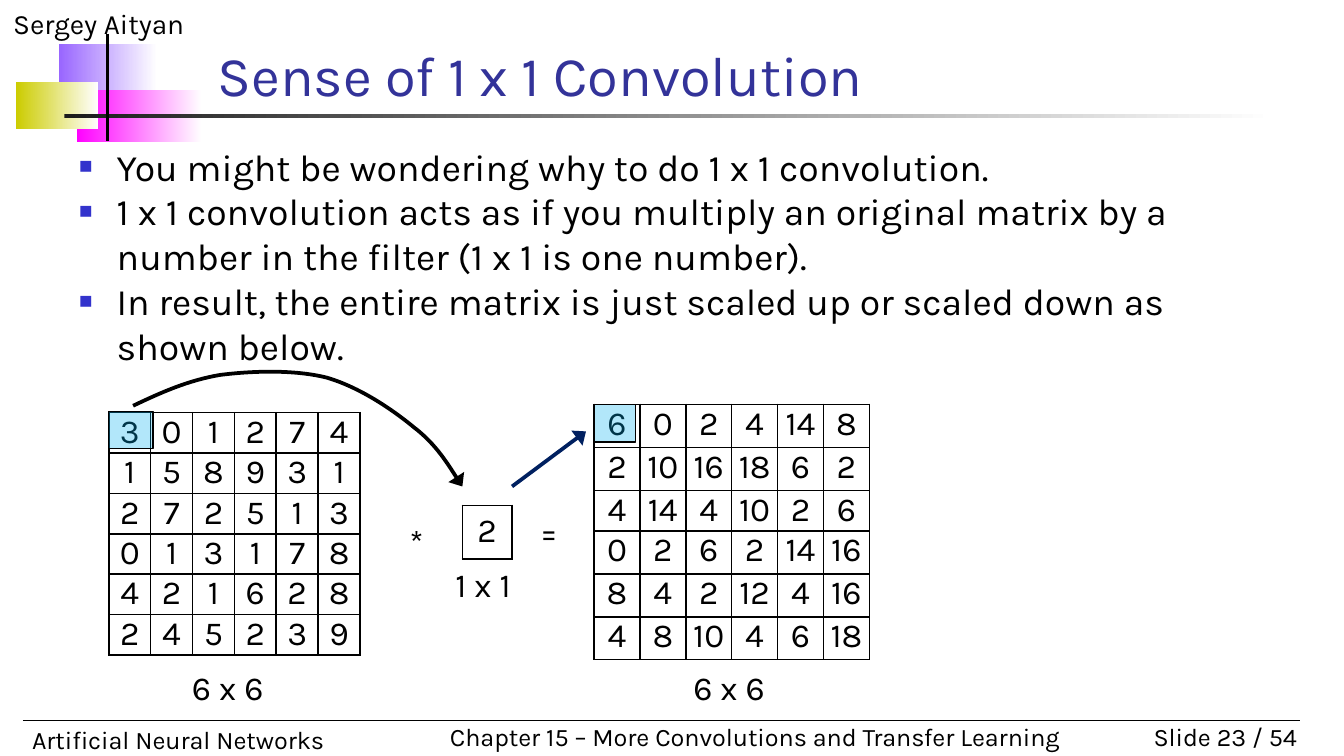
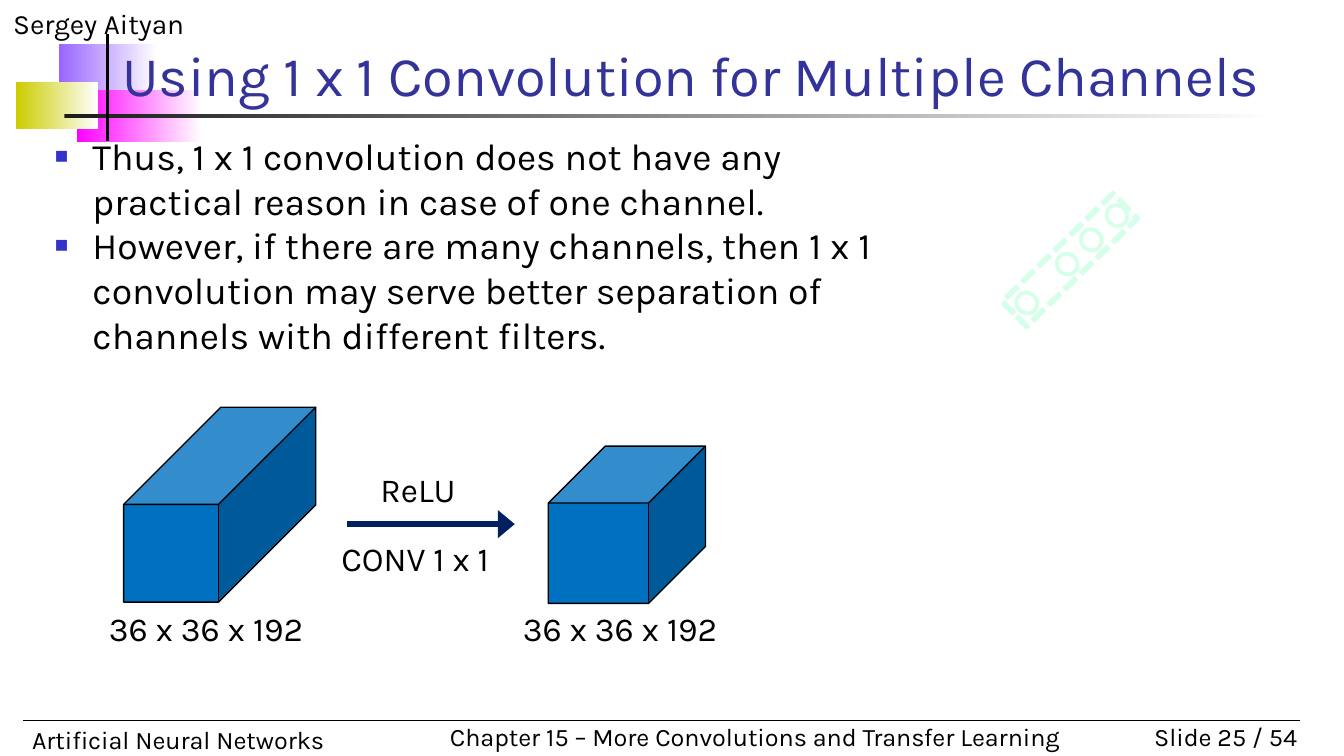
from dataclasses import dataclass
from lxml.etree import SubElement
from pptx import Presentation
from pptx.dml.color import RGBColor
from pptx.enum.dml import MSO_LINE
from pptx.enum.shapes import MSO_CONNECTOR, MSO_SHAPE
from pptx.enum.text import MSO_ANCHOR, MSO_AUTO_SIZE, PP_ALIGN
from pptx.oxml.ns import qn
from pptx.util import Inches, Pt


@dataclass(frozen=True)
class Theme:
    font: str = "Karla"
    ink: str = "000000"
    title: str = "333399"
    bullet: str = "3333CC"
    highlight: str = "00B0F0"
    arrow: str = "002060"
    cube: str = "0070C0"
    sketch: str = "D5FFE8"
    violet: str = "9966FF"
    magenta: str = "FF00FF"
    olive: str = "CCCC00"
    rule: str = "1C1C1C"
    white: str = "FFFFFF"
    title_size: float = 30
    body_size: float = 20
    label_size: float = 18
    author_size: float = 15
    footer_size: float = 13.5


THEME = Theme()
SLIDE_WIDTH = 10
SLIDE_HEIGHT = SLIDE_WIDTH * 9 / 16
INPUT_MATRIX = [
    [3, 0, 1, 2, 7, 4],
    [1, 5, 8, 9, 3, 1],
    [2, 7, 2, 5, 1, 3],
    [0, 1, 3, 1, 7, 8],
    [4, 2, 1, 6, 2, 8],
    [2, 4, 5, 2, 3, 9],
]
KERNEL = 2
SCALED_MATRIX = [[value * KERNEL for value in row] for row in INPUT_MATRIX]


def color(code):
    return RGBColor.from_string(code)


def inches(*lengths):
    return [Inches(length) for length in lengths]


def style_paragraph(paragraph, size, code=THEME.ink, align=None):
    if align is not None:
        paragraph.alignment = align
    for run in paragraph.runs:
        run.font.name = THEME.font
        run.font.size = Pt(size)
        run.font.color.rgb = color(code)


def add_text(shapes, box, text, size=THEME.label_size, code=THEME.ink, align=None,
             wrap=True, grow=True, inset=True):
    shape = shapes.add_textbox(*inches(*box))
    frame = shape.text_frame
    frame.text = text
    frame.word_wrap = wrap
    frame.auto_size = MSO_AUTO_SIZE.SHAPE_TO_FIT_TEXT if grow else MSO_AUTO_SIZE.NONE
    if not inset:
        frame.margin_left = frame.margin_top = frame.margin_right = frame.margin_bottom = 0
    for paragraph in frame.paragraphs:
        style_paragraph(paragraph, size, code, align)
    return shape


def add_outline(shapes, kind, box, line=THEME.ink, width=0.75):
    shape = shapes.add_shape(kind, *inches(*box))
    shape.shadow.inherit = False
    shape.fill.background()
    shape.line.color.rgb = color(line)
    shape.line.width = Pt(width)
    return shape


def add_gradient(shapes, box, code):
    shape = shapes.add_shape(MSO_SHAPE.RECTANGLE, *inches(*box))
    shape.shadow.inherit = False
    shape.line.fill.background()
    shape.fill.gradient()
    shape.fill.gradient_angle = 0
    for stop, stop_code in zip(shape.fill.gradient_stops, (code, THEME.white)):
        stop.color.rgb = color(stop_code)


def add_arrowhead(shape):
    SubElement(shape.get_or_add_ln(), qn("a:tailEnd"), type="triangle", w="lg", len="med")


def add_line(shapes, ends, code=THEME.ink, width=2.0, arrow=False):
    connector = shapes.add_connector(MSO_CONNECTOR.STRAIGHT, *inches(*ends))
    connector.line.color.rgb = color(code)
    connector.line.width = Pt(width)
    if arrow:
        add_arrowhead(connector)
    SubElement(connector.element.spPr, qn("a:effectLst"))


def add_curve(shapes, points):
    start, *rest = [inches(*point) for point in points]
    builder = shapes.build_freeform(*start)
    builder.add_line_segments(rest, close=False)
    curve = builder.convert_to_shape()
    curve.shadow.inherit = False
    curve.fill.background()
    curve.line.color.rgb = color(THEME.ink)
    curve.line.width = Pt(2)
    add_arrowhead(curve)
    segments = list(curve.element.iter(qn("a:lnTo")))
    outline = segments[0].getparent()
    for first in range(0, len(segments), 3):
        bezier = SubElement(outline, qn("a:cubicBezTo"))
        for segment in segments[first:first + 3]:
            bezier.append(segment[0])
            outline.remove(segment)


def draw_cell_border(cell):
    properties = cell._tc.get_or_add_tcPr()
    for side in ("a:lnL", "a:lnR", "a:lnT", "a:lnB"):
        border = SubElement(properties, qn(side), w=str(Pt(1)))
        fill = SubElement(border, qn("a:solidFill"))
        SubElement(fill, qn("a:srgbClr"), val=THEME.ink)


def draw_matrix(shapes, box, values, row_heights, margin=0):
    size = len(values)
    frame = shapes.add_table(size, size, *inches(*box))
    table = frame.table
    table.first_row = table.horz_banding = False
    for column in table.columns:
        column.width = Inches(box[2] / size)
    for row, height, numbers in zip(table.rows, row_heights, values):
        row.height = Inches(height)
        for cell, number in zip(row.cells, numbers):
            cell.margin_left = cell.margin_right = 0
            cell.margin_top = cell.margin_bottom = Inches(margin)
            draw_cell_border(cell)
            cell.fill.background()
            cell.text = str(number)
            style_paragraph(cell.text_frame.paragraphs[0], THEME.label_size,
                            align=PP_ALIGN.CENTER)
    frame.height = Inches(box[3])


def draw_highlight(shapes, box):
    shape = add_outline(shapes, MSO_SHAPE.RECTANGLE, box)
    shape.fill.solid()
    shape.fill.fore_color.rgb = color(THEME.highlight)
    fill_color = shape.element.spPr.find(qn("a:solidFill"))[0]
    SubElement(fill_color, qn("a:alpha"), val="30000")


def draw_emblem(shapes, left, top):
    add_gradient(shapes, (left + 0.32, top, 0.73, 0.39), THEME.violet)
    add_gradient(shapes, (left + 0.45, top + 0.34, 0.93, 0.39), THEME.magenta)
    add_gradient(shapes, (left, top + 0.28, 0.61, 0.35), THEME.olive)
    add_gradient(shapes, (left + 0.36, top + 0.52, 9, 0.03), THEME.rule)
    add_line(shapes, (left + 0.68, top - 0.08, left + 0.68, top + 0.72))


def draw_footer(shapes, left, top, number):
    size = THEME.footer_size
    add_text(shapes, (left + 8.11, top, 1.5, 0.33), f"Slide {number} / 54", size,
             align=PP_ALIGN.RIGHT)
    add_text(shapes, (left, top + 0.02, 3.7, 0.33), "Artificial Neural Networks", size)
    add_text(shapes, (left + 3.11, top, 4.77, 0.33),
             "Chapter 15 – More Convolutions and Transfer Learning", size, wrap=False)
    add_line(shapes, (left + 0.03, top + 0.04, left + 9.53, top + 0.04), width=0.75)


def draw_bullets(shapes, box, items):
    shape = add_text(shapes, box, "\n".join(items), THEME.body_size, grow=False)
    for paragraph in shape.text_frame.paragraphs:
        properties = paragraph._p.get_or_add_pPr()
        properties.set("marL", str(Inches(0.28)))
        properties.set("indent", str(Inches(-0.28)))
        bullet_color = SubElement(properties, qn("a:buClr"))
        SubElement(bullet_color, qn("a:srgbClr"), val=THEME.bullet)
        SubElement(properties, qn("a:buSzPct"), val="60000")
        SubElement(properties, qn("a:buFont"), typeface="Arial")
        SubElement(properties, qn("a:buChar"), char="■")


def add_lecture_slide(presentation, number, title, title_box, bullets, bullets_box):
    slide = presentation.slides.add_slide(presentation.slide_layouts[6])
    shapes = slide.shapes
    draw_emblem(shapes, 0.12, 0.33)
    add_text(shapes, (0, 0, 2.5, 0.35), "Sergey Aityan", THEME.author_size)
    draw_footer(shapes, 0.14, 5.32, number)
    heading = add_text(shapes, title_box, title, THEME.title_size, THEME.title, grow=False)
    heading.text_frame.vertical_anchor = MSO_ANCHOR.BOTTOM
    draw_bullets(shapes, bullets_box, bullets)
    return slide


def draw_scaling_example(shapes, left, top):
    draw_matrix(shapes, (left, top + 0.06, 1.87, 1.8), INPUT_MATRIX, [0.26] * 6)
    draw_matrix(shapes, (left + 2.63, top + 0.75, 0.37, 0.4), [[KERNEL]], [0.27], margin=0.05)
    draw_matrix(shapes, (left + 3.61, top, 2.05, 1.9), SCALED_MATRIX,
                [0.32, 0.32, 0.26, 0.32, 0.32, 0.32])
    labels = [
        (0.52, 1.9, 0.92, "6 x 6"),
        (2.48, 1.14, 0.92, "1 x 1"),
        (2.14, 0.82, 0.44, "*"),
        (3.11, 0.74, 0.44, "="),
        (4.25, 1.9, 0.92, "6 x 6"),
    ]
    for x, y, width, text in labels:
        add_text(shapes, (left + x, top + y, width, 0.4), text)
    draw_highlight(shapes, (left, top + 0.05, 0.33, 0.28))
    draw_highlight(shapes, (left + 3.61, top, 0.31, 0.28))
    arc = [
        (0.18, 0.01), (0.39, -0.09), (0.59, -0.18), (0.83, -0.22),
        (1.07, -0.25), (1.38, -0.26), (1.62, -0.2),
        (1.86, -0.13), (2.1, 0.03), (2.27, 0.17),
        (2.44, 0.3), (2.63, 0.61), (2.63, 0.61),
    ]
    add_curve(shapes, [(left + x, top + y) for x, y in arc])
    add_line(shapes, (left + 3, top + 0.61, left + 3.55, top + 0.2), THEME.arrow, arrow=True)


def draw_volume_flow(shapes, left, top):
    cubes = [(0.11, 0, 1.43, 1.45, 0.506), (3.27, 0.29, 1.17, 1.17, 0.362)]
    for x, y, width, height, depth in cubes:
        cube = add_outline(shapes, MSO_SHAPE.CUBE, (left + x, top + y, width, height))
        cube.adjustments[0] = depth
        cube.fill.solid()
        cube.fill.fore_color.rgb = color(THEME.cube)
    add_line(shapes, (left + 1.77, top + 0.87, left + 3.02, top + 0.87),
             THEME.arrow, 3, arrow=True)
    labels = [
        (0, 1.49, 1.55, "36 x 36 x 192"),
        (3.08, 1.49, 1.55, "36 x 36 x 192"),
        (2.02, 0.46, 0.73, "ReLU"),
        (1.73, 0.97, 1.41, "CONV 1 x 1"),
    ]
    for x, y, width, text in labels:
        add_text(shapes, (left + x, top + y, width, 0.3), text, inset=False)


def draw_channel_strip(shapes, left, top):
    strip = add_outline(shapes, MSO_SHAPE.RECTANGLE, (left + 0.27, top, 0.26, 1.15),
                        THEME.sketch, 3)
    strip.line.dash_style = MSO_LINE.SQUARE_DOT
    strip.rotation = 45.7
    for x, y in [(0.67, 0.17), (0.48, 0.35), (0.3, 0.53), (0, 0.82)]:
        channel = add_outline(shapes, MSO_SHAPE.OVAL, (left + x, top + y, 0.16, 0.15),
                              THEME.sketch, 2)
        channel.rotation = 45.7


def main():
    presentation = Presentation()
    presentation.slide_width, presentation.slide_height = inches(SLIDE_WIDTH, SLIDE_HEIGHT)

    slide = add_lecture_slide(
        presentation, 23, "Sense of 1 x 1 Convolution", (1.52, 0.31, 7.35, 0.54),
        ["You might be wondering why to do 1 x 1 convolution.",
         "1 x 1 convolution acts as if you multiply an original matrix by a number "
         "in the filter (1 x 1 is one number).",
         "In result, the entire matrix is just scaled up or scaled down as shown below."],
        (0.49, 1.02, 9.02, 3.78))
    draw_scaling_example(slide.shapes, 0.81, 3.01)

    slide = add_lecture_slide(
        presentation, 25, "Using 1 x 1 Convolution for Multiple Channels",
        (0.81, 0.31, 9.11, 0.54),
        ["Thus, 1 x 1 convolution does not have any practical reason in case of one channel.",
         "However, if there are many channels, then 1 x 1 convolution may serve better "
         "separation of channels with different filters."],
        (0.31, 0.94, 6.52, 1.17))
    draw_volume_flow(slide.shapes.add_group_shape().shapes, 0.81, 3.03)
    draw_channel_strip(slide.shapes.add_group_shape().shapes, 7.56, 1.36)

    presentation.save("out.pptx")


if __name__ == "__main__":
    main()
